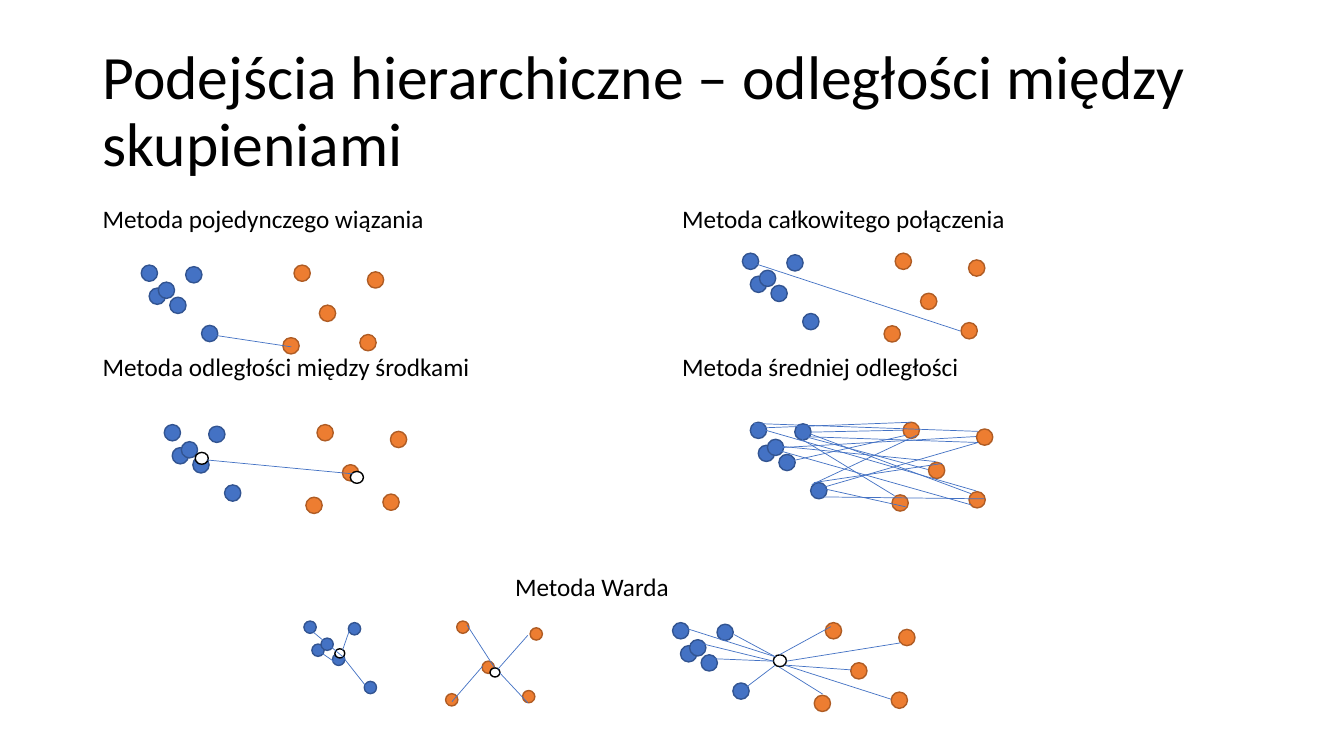
import pptx
import pptx.dml.color
import pptx.enum.shapes
import pptx.enum.text
import pptx.oxml.ns
import pptx.util
from lxml import etree
from pptx.util import Cm

FONT = "Calibri"
BLUE, BLUE_EDGE = "4472C4", "325491"
ORANGE, ORANGE_EDGE = "ED7D31", "AF5C24"
WHITE, BLACK = "FFFFFF", "000000"

BLUE_POINTS = [(0, 0), (0.72, 0.81), (1.12, 0.04), (0.2, 0.58), (1.52, 1.52), (0.43, 0.43)]
ORANGE_POINTS = [(3.85, 0), (4.49, 1.01), (5.7, 0.17), (5.51, 1.75), (3.57, 1.83)]
CLUSTER_CENTRES = [(0.78, 0.7), (4.69, 1.18)]
COMMON_CENTRE = [(2.54, 0.81)]

METHODS = [
    ["Metoda pojedynczego wiązania", "Metoda całkowitego połączenia"],
    ["Metoda odległości między środkami", "Metoda średniej odległości"],
]
ROW_HEIGHTS = [3.73, 5.28]

SINGLE_LINK = [(1.73, 1.75, 3.78, 2.06)]
COMPLETE_LINK = [(0.28, 0.25, 5.49, 1.96)]
CENTRE_LINK = [(1.07, 0.89, 4.75, 1.24)]
AVERAGE_LINKS = [
    (1.47, 0.25, 3.84, 0.2), (1.3, 0.36, 5.74, 0.51), (1.45, 0.38, 4.47, 1.19),
    (1.3, 0.43, 3.63, 1.85), (1.47, 0.28, 5.56, 1.8), (1.65, 1.63, 3.91, 2.13),
    (1.7, 1.88, 5.89, 1.93), (1.6, 1.52, 4.83, 1.04), (1.63, 1.7, 5.74, 0.51),
    (1.55, 1.57, 4.19, 0.33), (0.97, 0.99, 3.91, 0.33), (0.76, 0.64, 5.69, 0.36),
    (0.81, 0.61, 4.67, 0.99), (0.71, 0.71, 5.56, 2.08), (0.08, 0.15, 4.04, 0),
    (0.08, 0.03, 5.74, 0.23), (0.38, 0.2, 5.69, 1.73),
]
WARD_SEPARATE_LINKS = [
    (0.2, 0.25, 0.97, 0.89), (1.14, 0.25, 0.97, 0.74), (0.97, 0.89, 1.57, 1.65),
    (0.38, 0.76, 0.86, 1.09), (4.11, 0.1, 4.8, 1.17), (5.64, 0.36, 4.88, 1.22),
    (4.5, 1.14, 3.73, 2.03), (4.93, 1.3, 5.64, 2.06),
]
WARD_MERGED_LINKS = [
    (3.99, 0.1, 2.69, 0.81), (5.74, 0.51, 2.87, 0.97), (4.5, 1.19, 2.82, 1.07),
    (5.51, 1.93, 2.82, 1.07), (3.78, 1.8, 2.69, 1.12), (2.59, 1.07, 1.85, 1.63),
    (2.54, 0.97, 1.04, 0.91), (2.59, 0.86, 1.55, 0.3), (2.59, 0.86, 0.3, 0.13),
    (2.54, 0.97, 0.66, 0.51),
]


def colour(value):
    return pptx.dml.color.RGBColor.from_string(value)


def write_text(text_frame, text, size=18, font_colour=BLACK, line_spacing=None, wrap=True):
    text_frame.word_wrap = wrap
    paragraph = text_frame.paragraphs[0]
    paragraph.alignment = pptx.enum.text.PP_ALIGN.LEFT
    paragraph.line_spacing = line_spacing
    run = paragraph.add_run()
    run.text = text
    run.font.name = FONT
    run.font.size = pptx.util.Pt(size)
    run.font.color.rgb = colour(font_colour)


def add_title(slide, text):
    title = slide.shapes.title
    title.left, title.top, title.width, title.height = Cm(2.33), Cm(1.01), Cm(29.21), Cm(3.68)
    title.text_frame.vertical_anchor = pptx.enum.text.MSO_ANCHOR.MIDDLE
    write_text(title.text_frame, text, size=44, line_spacing=0.9)


def add_method_table(slide):
    frame = slide.shapes.add_table(2, 2, Cm(2.33), Cm(5.03), Cm(29.21), Cm(sum(ROW_HEIGHTS)))
    table = frame.table
    table.first_row = False
    table.horz_banding = False
    for row, height, names in zip(table.rows, ROW_HEIGHTS, METHODS):
        row.height = Cm(height)
        for cell, name in zip(row.cells, names):
            cell.fill.background()
            write_text(cell.text_frame, name)


def add_label(slide, text, left, top, width, height):
    label = slide.shapes.add_textbox(Cm(left), Cm(top), Cm(width), Cm(height))
    label.text_frame.auto_size = pptx.enum.text.MSO_AUTO_SIZE.SHAPE_TO_FIT_TEXT
    write_text(label.text_frame, text, wrap=False)


def add_dots(slide, origin, points, width, height, fill, edge):
    left, top = origin
    for x, y in points:
        shape = slide.shapes.add_shape(
            pptx.enum.shapes.MSO_SHAPE.OVAL, Cm(left + x), Cm(top + y), Cm(width), Cm(height)
        )
        shape.shadow.inherit = False
        shape.fill.solid()
        shape.fill.fore_color.rgb = colour(fill)
        shape.line.color.rgb = colour(edge)
        shape.line.width = pptx.util.Pt(1)


def add_link(slide, origin, link):
    left, top = origin
    start_x, start_y, end_x, end_y = link
    connector = slide.shapes.add_connector(
        pptx.enum.shapes.MSO_CONNECTOR.STRAIGHT,
        Cm(left + start_x), Cm(top + start_y), Cm(left + end_x), Cm(top + end_y),
    )
    connector.line.color.rgb = colour(BLUE)
    connector.line.width = pptx.util.Pt(0.5)
    properties = connector._element.spPr
    etree.SubElement(properties, pptx.oxml.ns.qn("a:effectLst"))


def add_clusters(slide, origin, links, centres=(), dot=0.41, centre_size=(0.33, 0.3)):
    add_dots(slide, origin, BLUE_POINTS, dot, dot, BLUE, BLUE_EDGE)
    add_dots(slide, origin, ORANGE_POINTS, dot, dot, ORANGE, ORANGE_EDGE)
    add_dots(slide, origin, centres, *centre_size, WHITE, BLACK)
    for link in links:
        add_link(slide, origin, link)


def main():
    presentation = pptx.Presentation()
    presentation.slide_width = Cm(33.87)
    presentation.slide_height = Cm(19.05)
    slide = presentation.slides.add_slide(presentation.slide_layouts[5])

    add_title(slide, "Podejścia hierarchiczne – odległości między skupieniami")
    add_method_table(slide)
    add_clusters(slide, (3.56, 6.68), SINGLE_LINK)
    add_clusters(slide, (18.71, 6.38), COMPLETE_LINK)
    add_clusters(slide, (4.14, 10.7), CENTRE_LINK, CLUSTER_CENTRES)
    add_clusters(slide, (18.91, 10.64), AVERAGE_LINKS)

    add_label(slide, "Metoda Warda", 12.73, 14.27, 4.42, 1.02)
    add_clusters(slide, (7.66, 15.65), WARD_SEPARATE_LINKS, CLUSTER_CENTRES,
                 dot=0.31, centre_size=(0.25, 0.23))
    add_clusters(slide, (16.95, 15.69), WARD_MERGED_LINKS, COMMON_CENTRE)

    presentation.save("out.pptx")


if __name__ == "__main__":
    main()
